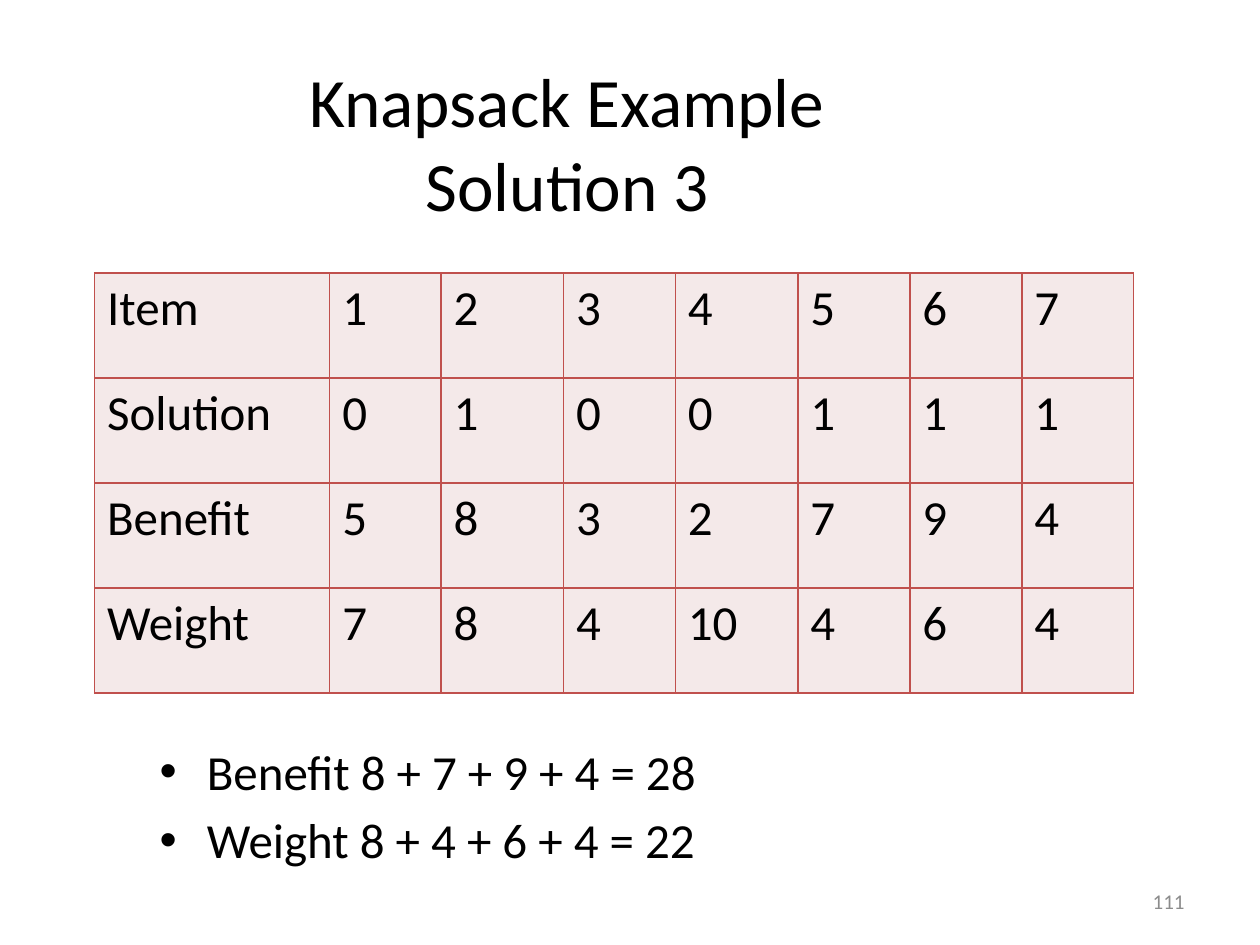
import pptx
import pptx.util
import pptx.dml.color
import pptx.enum.text
import pptx.oxml
import pptx.oxml.ns
from dataclasses import dataclass

Pt = pptx.util.Pt
Align = pptx.enum.text.PP_ALIGN
Anchor = pptx.enum.text.MSO_ANCHOR


@dataclass(frozen=True)
class Theme:
    font: str = "Calibri"
    ink: str = "000000"
    gray: str = "8C8C8C"
    fill: str = "F4E9E9"
    rule: str = "C0504D"
    title: float = 39.6
    text: float = 28
    small: float = 12


theme = Theme()


def style(para, size, color=theme.ink):
    """Format every run of a paragraph."""
    for run in para.runs:
        run.font.name = theme.font
        run.font.size = Pt(size)
        run.font.color.rgb = pptx.dml.color.RGBColor.from_string(color)


def place(shape, left, top, width, height):
    """Position a text shape, in points, and fix its wrapping."""
    shape.left, shape.top = Pt(left), Pt(top)
    shape.width, shape.height = Pt(width), Pt(height)
    shape.text_frame.word_wrap = True
    shape.text_frame.auto_size = pptx.enum.text.MSO_AUTO_SIZE.NONE


deck = pptx.Presentation()
deck.slide_width, deck.slide_height = Pt(720), Pt(540)
slide = deck.slides.add_slide(deck.slide_layouts[1])

# Title
title = slide.shapes.title
place(title, 18, 36, 612, 90)
title.text_frame.vertical_anchor = Anchor.MIDDLE
head = title.text_frame.paragraphs[0]
head.text = "Knapsack Example\vSolution 3"
head.alignment = Align.CENTER
style(head, theme.title)

# Totals
body = slide.placeholders[1]
place(body, 84, 420, 552, 84)
body.text_frame.text = "Benefit 8 + 7 + 9 + 4 = 28\nWeight 8 + 4 + 6 + 4 = 22"
for i, para in enumerate(body.text_frame.paragraphs):
    props = para._p.get_or_add_pPr()
    props.set("marL", str(Pt(27)))
    props.set("indent", str(-Pt(27)))
    para.space_before = Pt(5.6 if i else 0)
    style(para, theme.text)

# Item table
rows = [
    ["Item", 1, 2, 3, 4, 5, 6, 7],
    ["Solution", 0, 1, 0, 0, 1, 1, 1],
    ["Benefit", 5, 8, 3, 2, 7, 9, 4],
    ["Weight", 7, 8, 4, 10, 4, 6, 4],
]
widths = [134.4, 63.6, 70, 64, 70, 64, 64, 64]
space = pptx.oxml.ns.nsdecls("a")
table = slide.shapes.add_table(
    len(rows), len(widths), Pt(54), Pt(156), Pt(sum(widths)), Pt(240)).table
table.first_row = table.horz_banding = False
for col, width in zip(table.columns, widths):
    col.width = Pt(width)
for r, row in enumerate(rows):
    table.rows[r].height = Pt(60)
    for c, value in enumerate(row):
        cell = table.cell(r, c)
        cell.text_frame.text = str(value)
        style(cell.text_frame.paragraphs[0], theme.text)
        props = cell._tc.get_or_add_tcPr()
        for side in ("lnL", "lnR", "lnT", "lnB"):
            props.append(pptx.oxml.parse_xml(
                f'<a:{side} {space} w="{Pt(1)}"><a:solidFill>'
                f'<a:srgbClr val="{theme.rule}"/></a:solidFill></a:{side}>'))
        cell.fill.solid()
        cell.fill.fore_color.rgb = pptx.dml.color.RGBColor.from_string(theme.fill)

# Page number
page = slide.shapes.add_textbox(0, 0, 0, 0)
place(page, 516, 500.5, 168, 28.75)
page.text_frame.vertical_anchor = Anchor.MIDDLE
num = page.text_frame.paragraphs[0]
num.text = "111"
num.alignment = Align.RIGHT
style(num, theme.small, theme.gray)

deck.save("out.pptx")
